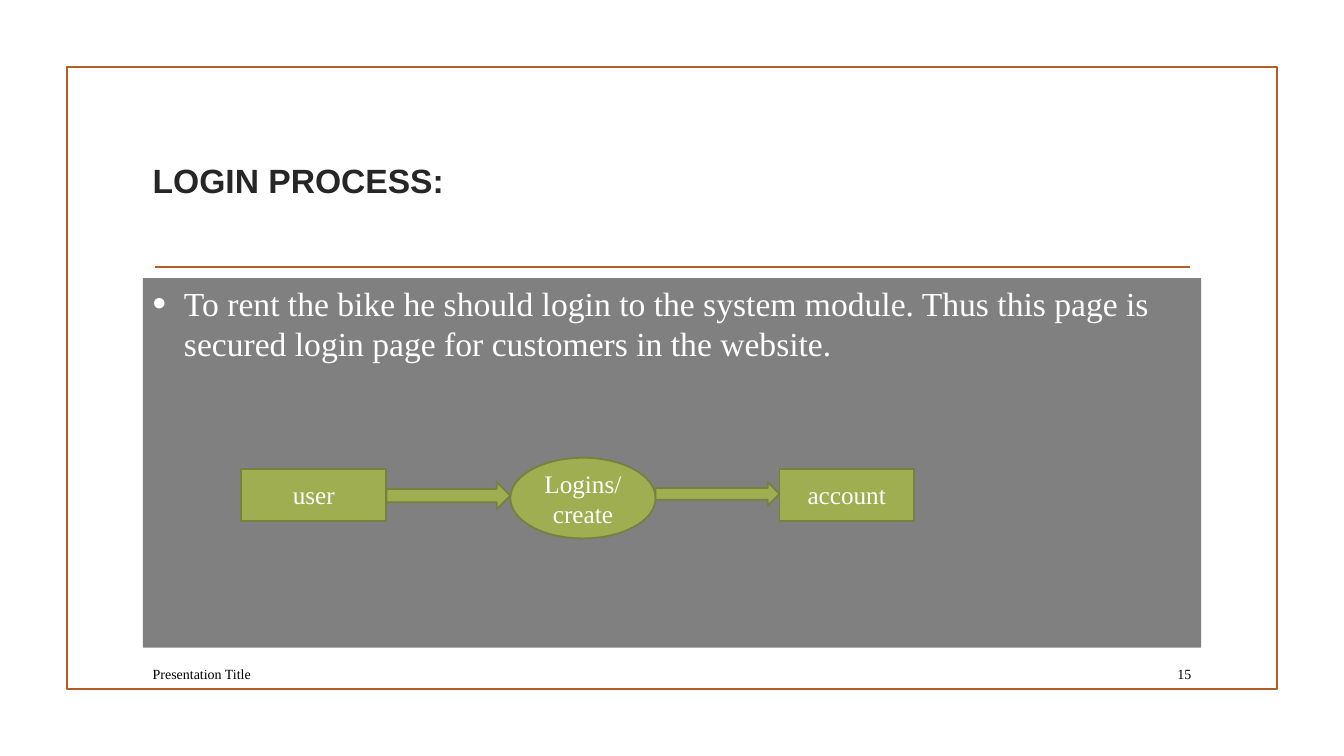
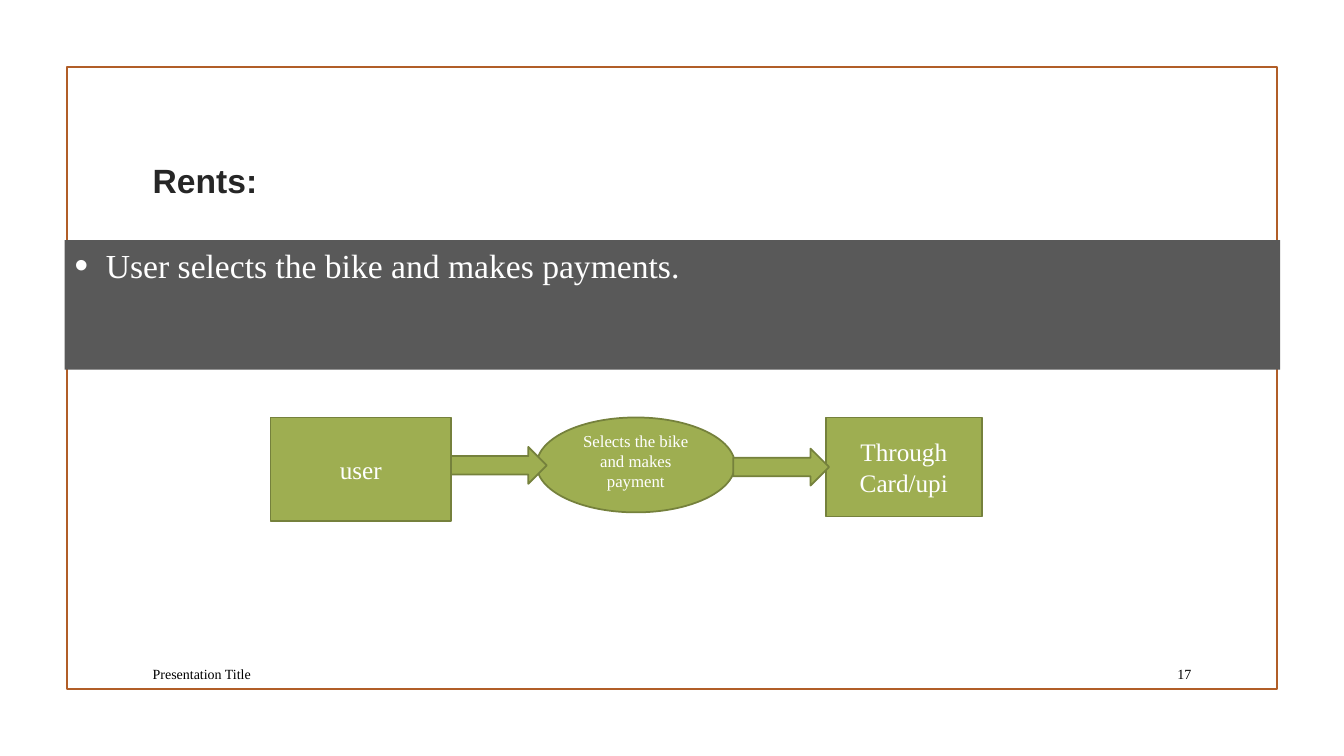
import pptx
import pptx.util
import pptx.dml.color
import pptx.enum.shapes
import pptx.enum.text
import pptx.oxml.ns
from lxml import etree

RGB = pptx.dml.color.RGBColor
Pt = pptx.util.Pt
SHAPE = pptx.enum.shapes.MSO_SHAPE
ALIGN = pptx.enum.text.PP_ALIGN
ANCHOR = pptx.enum.text.MSO_ANCHOR
qn = pptx.oxml.ns.qn

WHITE = RGB(0xFF, 0xFF, 0xFF)
BLACK = RGB(0x00, 0x00, 0x00)
INK = RGB(0x26, 0x26, 0x26)
RUST = RGB(0xB1, 0x5E, 0x28)
GREEN = RGB(0x9E, 0xAE, 0x51)
OLIVE = RGB(0x75, 0x81, 0x3C)
GREY = RGB(0x80, 0x80, 0x80)
DARK_GREY = RGB(0x59, 0x59, 0x59)

HEAD_FONT = "Arial"
BODY_FONT = "Times New Roman"
LINE_WIDTH = Pt(1.25)

COLUMNS, ROWS = 160, 90
MARGIN, CONTENT_WIDTH = 17, 126


def write(sp, text, size=18, color=WHITE, font=BODY_FONT, bold=False,
          align=ALIGN.LEFT, anchor=ANCHOR.MIDDLE, bullet=False, bottom=3.6):
    """Fill a shape with text, one paragraph per line; bottom is the inset in points."""
    tf = sp.text_frame
    tf.word_wrap = True
    tf.vertical_anchor = anchor
    tf.margin_bottom = Pt(bottom)
    for i, line in enumerate(text.split("\n")):
        p = tf.paragraphs[0] if i == 0 else tf.add_paragraph()
        p.alignment = align
        if bullet:
            add_bullet(p, color)
        r = p.add_run()
        r.text = line
        r.font.name, r.font.size, r.font.bold = font, Pt(size), bold
        r.font.color.rgb = color


def add_bullet(p, color):
    p.space_after = Pt(6)
    pPr = p._p.get_or_add_pPr()
    indent = pptx.util.Inches(0.31)
    pPr.set("marL", str(indent))
    pPr.set("indent", str(-indent))
    clr = etree.SubElement(pPr, qn("a:buClr"))
    etree.SubElement(clr, qn("a:srgbClr"), val=str(color))
    etree.SubElement(pPr, qn("a:buSzPct"), val="115000")
    etree.SubElement(pPr, qn("a:buFont"), typeface=HEAD_FONT)
    etree.SubElement(pPr, qn("a:buChar"), char="•")


class Deck:
    """Holds the style and the current slide; lengths are grid columns and rows."""

    def __init__(self):
        self.prs = pptx.Presentation()
        self.prs.slide_width = pptx.util.Inches(13.33)
        self.prs.slide_height = pptx.util.Inches(7.5)
        self.s = None

    def x(self, columns):
        return round(self.prs.slide_width * columns / COLUMNS)

    def y(self, rows):
        return round(self.prs.slide_height * rows / ROWS)

    def box(self, left, top, width, height):
        return self.x(left), self.y(top), self.x(width), self.y(height)

    def shape(self, kind, *at, fill=None, line=None):
        sp = self.s.shapes.add_shape(kind, *self.box(*at))
        sp.shadow.inherit = False
        if fill is None:
            sp.fill.background()
        else:
            sp.fill.solid()
            sp.fill.fore_color.rgb = fill
        if line is None:
            sp.line.fill.background()
        else:
            sp.line.color.rgb = line
            sp.line.width = LINE_WIDTH
        return sp

    def text(self, text, *at, **style):
        write(self.s.shapes.add_textbox(*self.box(*at)), text, **style)

    def rule(self, left, right, row):
        line = self.s.shapes.add_connector(
            pptx.enum.shapes.MSO_CONNECTOR.STRAIGHT,
            self.x(left), self.y(row), self.x(right), self.y(row))
        line.line.color.rgb = RUST
        line.line.width = LINE_WIDTH
        etree.SubElement(line._element.spPr, qn("a:effectLst"))

    def new_slide(self, title, number, ruled=False):
        """Start a slide with the frame, title and footer that all slides share."""
        self.s = self.prs.slides.add_slide(self.prs.slide_layouts[6])
        self.shape(SHAPE.RECTANGLE, 8, 8, 144, 74, line=RUST)
        if ruled:
            self.rule(18.4, 141.7, 31.8)
        self.text(title, MARGIN, 12.8, CONTENT_WIDTH, 17.2,
                  size=24, color=INK, font=HEAD_FONT, bold=True)
        footer = dict(size=10, color=BLACK)
        self.text("Presentation Title", MARGIN, 78.4, 96, 3.7, **footer)
        self.text(str(number), 136, 78.4, 7, 3.7, align=ALIGN.RIGHT, **footer)

    def panel(self, text, *at, fill):
        sp = self.shape(SHAPE.RECTANGLE, *at, fill=fill)
        write(sp, text, size=24, anchor=ANCHOR.TOP, bullet=True)

    def node(self, kind, text, *at, **style):
        """Add a flow step and return the column of its right edge."""
        sp = self.shape(kind, *at, fill=GREEN, line=OLIVE)
        write(sp, text, align=ALIGN.CENTER, **style)
        return at[0] + at[2]

    def arrow(self, *at):
        self.shape(SHAPE.RIGHT_ARROW, *at, fill=GREEN, line=OLIVE)

    def save(self):
        self.prs.save("out.pptx")


def login_slide(deck):
    deck.new_slide("LOGIN PROCESS:", 15, ruled=True)
    deck.panel("To rent the bike he should login to the system module. "
               "Thus this page is secured login page for customers in the website.",
               MARGIN, 33.1, CONTENT_WIDTH, 44, fill=GREY)
    user, login, account = (28.7 + 32.05 * i for i in range(3))
    user_end = deck.node(SHAPE.RECTANGLE, "user", user, 55.8, 17.3, 6.2)
    login_end = deck.node(SHAPE.OVAL, "Logins/create", login, 54.5, 17.3, 9.6)
    deck.node(SHAPE.RECTANGLE, "account", account, 55.8, 16, 6.2)
    deck.arrow(user_end, 57.4, login - user_end, 3.2)
    deck.arrow(login_end, 57.4, account - login_end, 2.8)


def rents_slide(deck):
    deck.new_slide("Rents:", 17)
    deck.panel("User selects the bike and makes payments.",
               7.7, 28.6, 144.7, 15.4, fill=DARK_GREY)
    top = 49.7
    user_end = deck.node(SHAPE.RECTANGLE, "user", 32.2, top, 21.5, 12.3)
    select_end = deck.node(SHAPE.OVAL, "Selects the bike and makes payment",
                           63.9, top, 23.6, 11.3, size=12, bottom=9)
    deck.node(SHAPE.RECTANGLE, "Through\nCard/upi", 98.3, top, 18.6, 11.8)
    deck.arrow(user_end, 53.2, 11.4, 4.4)
    deck.arrow(select_end - 0.2, 53.4, 11.4, 4.4)


def main():
    deck = Deck()
    login_slide(deck)
    rents_slide(deck)
    deck.save()


if __name__ == "__main__":
    main()
